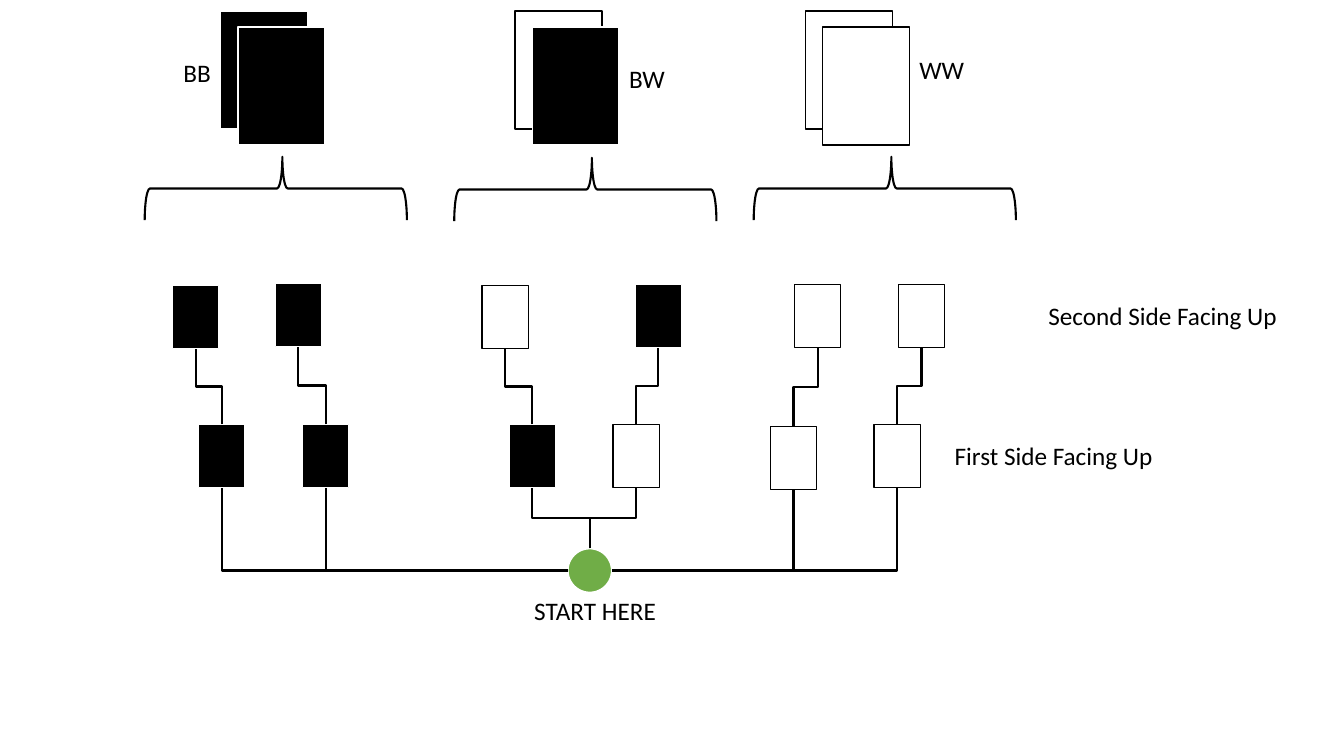
from dataclasses import dataclass

from lxml import etree
from pptx import Presentation
from pptx.dml.color import RGBColor
from pptx.enum.shapes import MSO_CONNECTOR, MSO_SHAPE
from pptx.enum.text import MSO_AUTO_SIZE, PP_ALIGN
from pptx.oxml.ns import qn
from pptx.util import Inches, Pt

RECT, OVAL, BRACE = MSO_SHAPE.RECTANGLE, MSO_SHAPE.OVAL, MSO_SHAPE.LEFT_BRACE
ELBOW = MSO_CONNECTOR.ELBOW
LEFT, RIGHT = PP_ALIGN.LEFT, PP_ALIGN.RIGHT


@dataclass(frozen=True)
class Theme:
    black: RGBColor = RGBColor(0, 0, 0)
    white: RGBColor = RGBColor(255, 255, 255)
    green: RGBColor = RGBColor(0x70, 0xAD, 0x47)
    font: str = "Calibri"
    size: Pt = Pt(18)
    thin: Pt = Pt(1)
    thick: Pt = Pt(1.5)


theme = Theme()
prs = Presentation()
prs.slide_width, prs.slide_height = Inches(13.33), Inches(7.5)
s = prs.slides.add_slide(prs.slide_layouts[6])


def add_shape(shapes, kind, box, fill, line, weight):
    """Add an outlined shape; a fill of None leaves it see-through."""
    sp = shapes.add_shape(kind, *map(Inches, box))
    sp.shadow.inherit = False
    if fill is None:
        sp.fill.background()
    else:
        sp.fill.solid()
        sp.fill.fore_color.rgb = fill
    sp.line.color.rgb = line
    sp.line.width = weight
    return sp


def add_label(shapes, text, x, y, w, align=LEFT):
    tf = shapes.add_textbox(Inches(x), Inches(y), Inches(w), Inches(0.4)).text_frame
    tf.word_wrap = True
    tf.auto_size = MSO_AUTO_SIZE.SHAPE_TO_FIT_TEXT
    p = tf.paragraphs[0]
    p.alignment = align
    r = p.add_run()
    r.text = text
    r.font.name, r.font.size, r.font.color.rgb = theme.font, theme.size, theme.black


edge = {theme.black: theme.white, theme.white: theme.black, None: theme.black}

# The three cards: back side, front side, label and brace
CARD_W, CARD_H = 0.86, 1.17
cards = [
    ("BB", 2.19, theme.black, theme.black, (1.65, 0.52, 0.54, RIGHT), (2.42, 0.57)),
    ("BW", 5.11, None, theme.black, (6.14, 0.58, 0.75, LEFT), (5.49, 0.58)),
    ("WW", 7.99, None, theme.white, (9.02, 0.49, 0.86, LEFT), (8.46, 0.57)),
]
for name, x, back, front, label, brace_at in cards:
    card = s.shapes.add_group_shape().shapes
    for offset, y, fill in ((0, 0.11, back), (0.17, 0.27, front)):
        add_shape(card, RECT, (x + offset, y, CARD_W, CARD_H), fill, edge[fill], theme.thin)
    add_label(card, name, *label)
    brace = add_shape(s.shapes, BRACE, (*brace_at, 0.63, 2.6), None, theme.black, theme.thick)
    brace.rotation = 90
    brace.adjustments[0], brace.adjustments[1] = 0.083, 0.475

# The six outcomes: (first x, first y, first fill), (second x, second y, second fill)
SIDE_W, SIDE_H = 0.46, 0.63
outcomes = [
    ((1.97, 4.21, theme.black), (1.71, 2.83, theme.black)),
    ((3.0, 4.21, theme.black), (2.73, 2.81, theme.black)),
    ((5.05, 4.21, theme.black), (4.78, 2.83, theme.white)),
    ((6.08, 4.21, theme.white), (6.3, 2.82, theme.black)),
    ((7.64, 4.23, theme.white), (7.88, 2.82, theme.white)),
    ((8.67, 4.21, theme.white), (8.91, 2.82, theme.white)),
]
START_X, START_Y, START_R = 5.85, 5.66, 0.22
add_shape(s.shapes, OVAL, (START_X - START_R, START_Y - START_R, 2 * START_R, 2 * START_R),
          theme.green, theme.white, theme.thick)

# Each route is (bends, x1, y1, x2, y2), running upwards
routes = []
for number, (first, second) in enumerate(outcomes):
    for x, y, fill in (first, second):
        add_shape(s.shapes, RECT, (x, y, SIDE_W, SIDE_H), fill, edge[fill], theme.thin)
    first_x, first_bottom = first[0] + SIDE_W / 2, first[1] + SIDE_H
    if number in (2, 3):
        routes.append((2, START_X, START_Y - START_R, first_x, first_bottom))
    else:
        side = START_R if first_x > START_X else -START_R
        routes.append((1, START_X + side, START_Y, first_x, first_bottom))
    routes.append((2, first_x, first[1], second[0] + SIDE_W / 2, second[1] + SIDE_H))

for bends, x1, y1, x2, y2 in routes:
    ends = x1, y1, x2, y2
    if bends == 2:
        # Lay the route on its side, then turn it so that it leaves vertically
        mid_x, mid_y = (x1 + x2) / 2, (y1 + y2) / 2
        half_w, half_h = (y1 - y2) / 2, (x1 - x2) / 2
        ends = mid_x - half_w, mid_y + half_h, mid_x + half_w, mid_y - half_h
    c = s.shapes.add_connector(ELBOW, *map(Inches, ends))
    c.line.color.rgb, c.line.width = theme.black, theme.thick
    spPr = c._element.spPr
    etree.SubElement(spPr, qn("a:effectLst"))
    if bends == 2:
        spPr.find(qn("a:xfrm")).set("rot", str(270 * 60000))
    else:
        spPr.find(qn("a:prstGeom")).set("prst", "bentConnector2")

for text, x, y, w in (
    ("START HERE", 5.2, 5.86, 1.44),
    ("First Side Facing Up", 9.37, 4.32, 2.83),
    ("Second Side Facing Up", 10.3, 2.93, 2.83),
):
    add_label(s.shapes, text, x, y, w)

prs.save("out.pptx")
